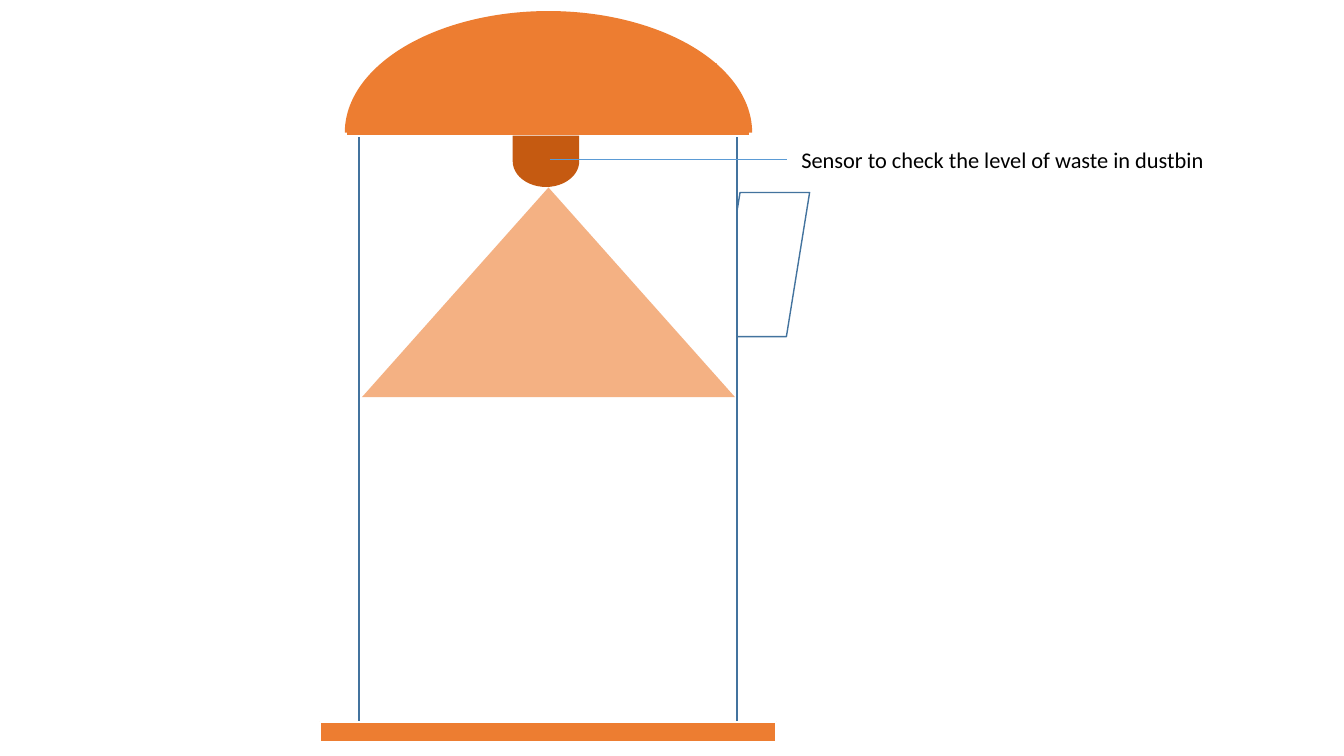
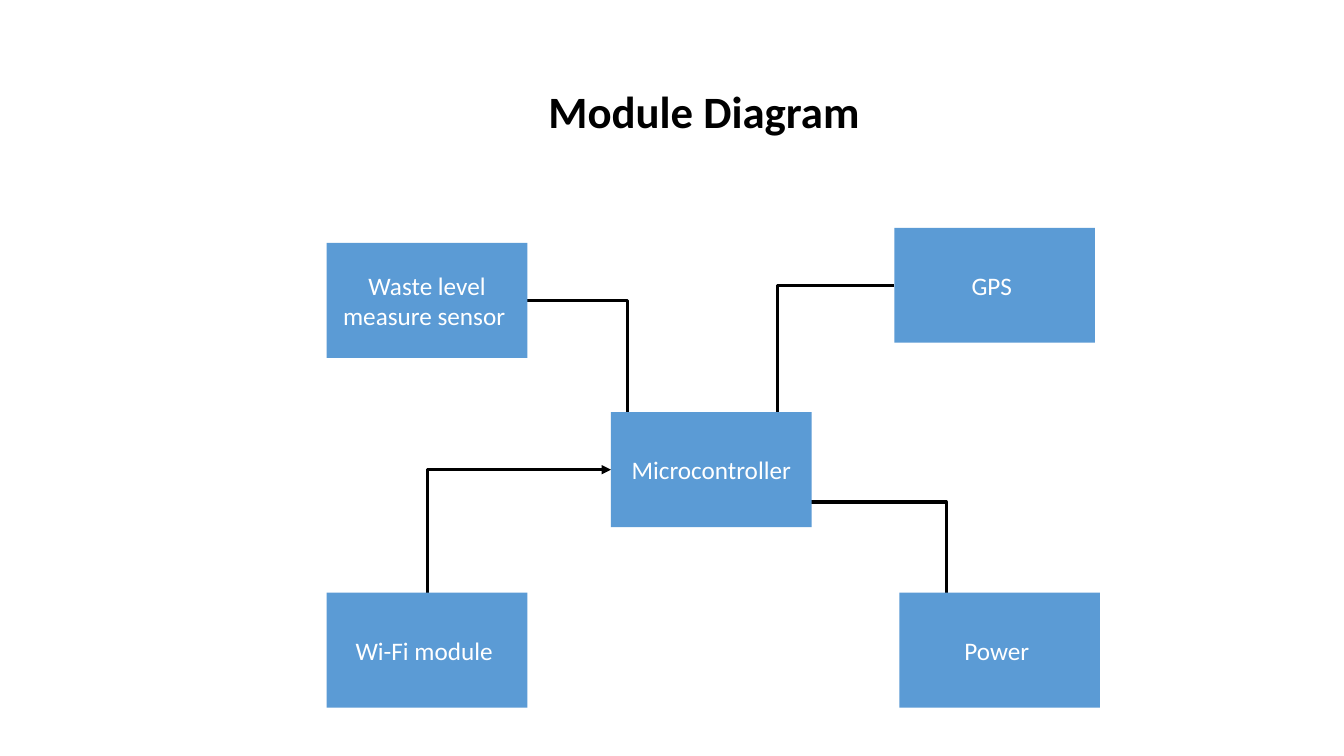
from dataclasses import dataclass

import pptx
import pptx.dml.color
import pptx.enum.shapes
import pptx.enum.text
import pptx.oxml
import pptx.oxml.ns
import pptx.util

SHAPE = pptx.enum.shapes.MSO_SHAPE
CONNECTOR = pptx.enum.shapes.MSO_CONNECTOR
ALIGN = pptx.enum.text.PP_ALIGN
ANCHOR = pptx.enum.text.MSO_ANCHOR

EMU_PER_PX = 9144  # 100 px to the inch
FONT = "Calibri"
WHITE, BLACK = "FFFFFF", "000000"
ORANGE, DARK_ORANGE, LIGHT_ORANGE = "ED7D31", "C55A11", "F4B183"
BLUE, DARK_BLUE = "5B9BD5", "43739E"
BOX_WIDTH, BOX_HEIGHT = 199, 114


@dataclass
class Part:
    kind: int
    left: int
    top: int
    width: int
    height: int
    fill: str
    line: str = ""
    line_width: float = 1
    rotation: int = 0


@dataclass
class Module:
    name: str
    left: int
    top: int


@dataclass
class Link:
    start: tuple[int, int]
    end: tuple[int, int]
    preset: str = "bentConnector3"
    arrow: str = ""  # headEnd or tailEnd
    color: str = BLACK
    width: float = 2.25


def px(length: int) -> int:
    return pptx.util.Emu(length * EMU_PER_PX)


def rgb(color: str):
    return pptx.dml.color.RGBColor.from_string(color)


def set_text(shape, text: str, size: int, color: str, bold: bool = False) -> None:
    shape.text_frame.text = text
    for paragraph in shape.text_frame.paragraphs:
        for run in paragraph.runs:
            run.font.name = FONT
            run.font.size = pptx.util.Pt(size)
            run.font.bold = bold
            run.font.color.rgb = rgb(color)


def add_part(slide, part: Part):
    shape = slide.shapes.add_shape(
        part.kind, px(part.left), px(part.top), px(part.width), px(part.height))
    shape.shadow.inherit = False
    shape.rotation = part.rotation
    shape.fill.solid()
    shape.fill.fore_color.rgb = rgb(part.fill)
    if part.line:
        shape.line.color.rgb = rgb(part.line)
        shape.line.width = pptx.util.Pt(part.line_width)
    else:
        shape.line.fill.background()
    return shape


def add_label(slide, text: str, left: int, top: int, width: int, height: int,
              size: int, bold: bool = False) -> None:
    label = slide.shapes.add_textbox(px(left), px(top), px(width), px(height))
    label.text_frame.word_wrap = False
    label.text_frame.auto_size = pptx.enum.text.MSO_AUTO_SIZE.SHAPE_TO_FIT_TEXT
    set_text(label, text, size, BLACK, bold)


def add_module(slide, module: Module) -> None:
    box = add_part(slide, Part(SHAPE.RECTANGLE, module.left, module.top,
                               BOX_WIDTH, BOX_HEIGHT, BLUE))
    set_text(box, module.name, 18, WHITE)
    box.text_frame.word_wrap = True
    box.text_frame.vertical_anchor = ANCHOR.MIDDLE
    box.text_frame.paragraphs[0].alignment = ALIGN.CENTER


def add_link(slide, link: Link) -> None:
    kind = CONNECTOR.STRAIGHT if link.preset == "line" else CONNECTOR.ELBOW
    connector = slide.shapes.add_connector(
        kind, *(px(value) for value in link.start + link.end))
    connector.line.color.rgb = rgb(link.color)
    connector.line.width = pptx.util.Pt(link.width)
    properties = connector._element.spPr
    properties.find(pptx.oxml.ns.qn("a:prstGeom")).set("prst", link.preset)
    namespace = pptx.oxml.ns.nsdecls("a")
    if link.arrow:
        properties.find(pptx.oxml.ns.qn("a:ln")).append(
            pptx.oxml.parse_xml(f'<a:{link.arrow} {namespace} type="triangle"/>'))
    properties.append(pptx.oxml.parse_xml(f"<a:effectLst {namespace}/>"))


# Dustbin, from back to front
DUSTBIN = [
    Part(SHAPE.PARALLELOGRAM, 711, 191, 92, 143, WHITE, DARK_BLUE),  # handle
    Part(SHAPE.RECTANGLE, 356, 135, 375, 582, WHITE, DARK_BLUE),  # body
    Part(SHAPE.RECTANGLE, 317, 716, 453, 20, ORANGE, WHITE, 1.5),  # base
    Part(SHAPE.RECTANGLE, 343, 115, 401, 20, ORANGE, WHITE, 1.5),  # rim
    Part(SHAPE.BLOCK_ARC, 342, 11, 404, 241, ORANGE),  # lid
    Part(SHAPE.RECTANGLE, 392, 63, 319, 54, ORANGE),  # lid filling
    Part(SHAPE.FLOWCHART_DELAY, 516, 127, 51, 66, DARK_ORANGE, rotation=90),  # sensor
    Part(SHAPE.ISOSCELES_TRIANGLE, 359, 186, 370, 208, LIGHT_ORANGE),  # beam
]

# Module diagram
MODULES = [
    Module("Waste level measure sensor ", 324, 241),
    Module("GPS ", 887, 226),
    Module("Wi-Fi module ", 324, 588),
    Module("Microcontroller", 606, 409),
    Module("Power ", 892, 588),
]
LINKS = [
    Link((523, 298), (722, 446)),
    Link((606, 466), (424, 588), "bentConnector2", "headEnd"),
    Link((787, 498), (1090, 605), arrow="tailEnd"),
    Link((887, 283), (656, 421)),
]


def build_dustbin_slide(slide) -> None:
    for part in DUSTBIN:
        add_part(slide, part)
    add_label(slide, "Sensor to check the level of waste in dustbin", 785, 140, 429, 37, 16)
    add_link(slide, Link((545, 158), (781, 158), "line", color=BLUE, width=0.5))


def build_module_slide(slide) -> None:
    # Links go first so that the boxes cover their ends
    for link in LINKS:
        add_link(slide, link)
    for module in MODULES:
        add_module(slide, module)
    add_label(slide, "Module Diagram", 534, 78, 342, 64, 32, bold=True)


def main() -> None:
    presentation = pptx.Presentation()
    presentation.slide_width = px(1333)
    presentation.slide_height = px(750)
    blank = presentation.slide_layouts[6]
    for build in (build_dustbin_slide, build_module_slide):
        build(presentation.slides.add_slide(blank))
    presentation.save("out.pptx")


if __name__ == "__main__":
    main()
